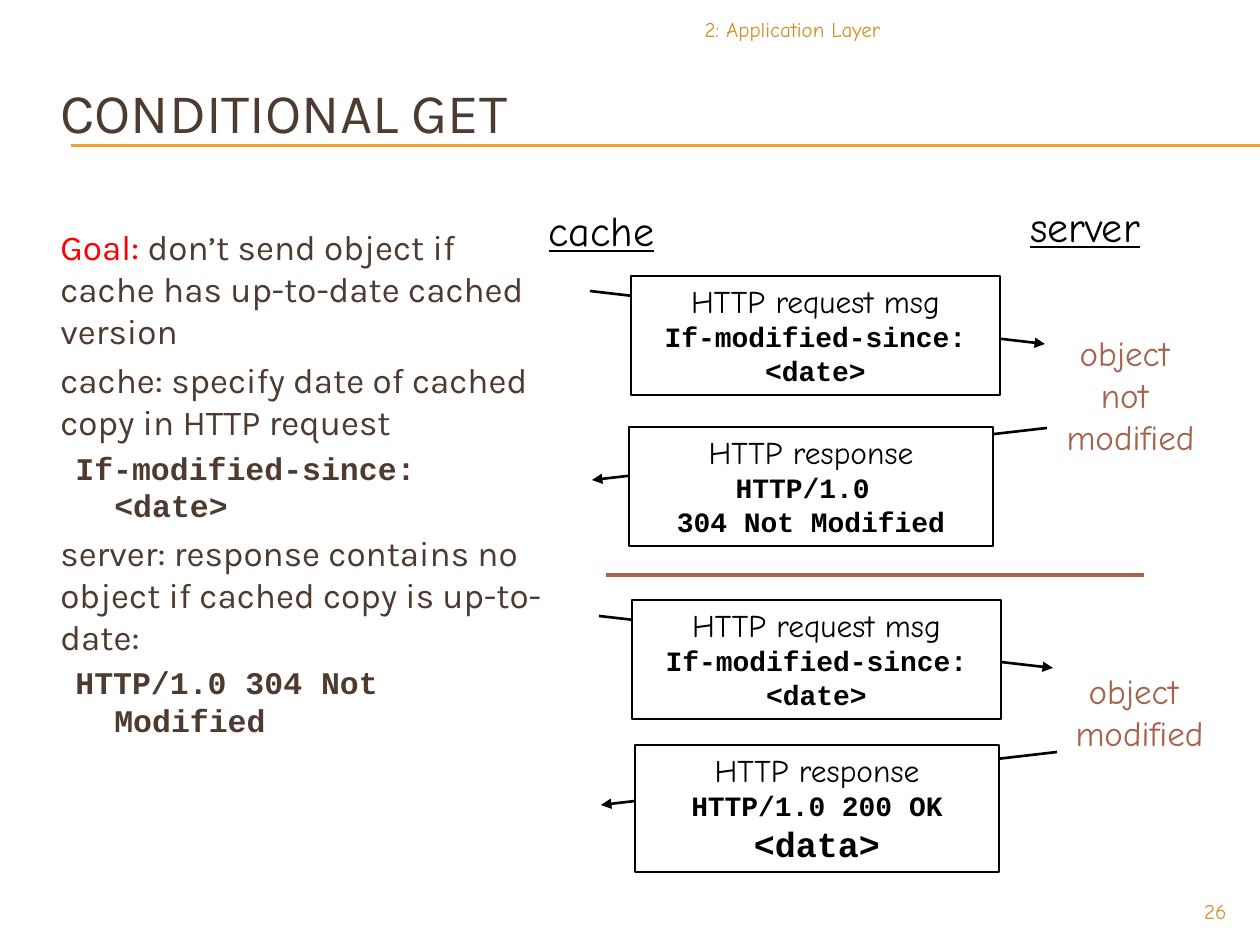
from lxml import etree
from pptx import Presentation
from pptx.dml.color import RGBColor
from pptx.enum.shapes import MSO_CONNECTOR, MSO_SHAPE
from pptx.enum.text import MSO_ANCHOR, MSO_AUTO_SIZE, PP_ALIGN
from pptx.oxml.ns import qn
from pptx.util import Pt

PX = 914400 // 126
STRAIGHT, RECTANGLE = MSO_CONNECTOR.STRAIGHT, MSO_SHAPE.RECTANGLE
TOP, MIDDLE = MSO_ANCHOR.TOP, MSO_ANCHOR.MIDDLE
GROW, FIXED = MSO_AUTO_SIZE.SHAPE_TO_FIT_TEXT, MSO_AUTO_SIZE.NONE
LEFT, CENTER, RIGHT = PP_ALIGN.LEFT, PP_ALIGN.CENTER, PP_ALIGN.RIGHT

BROWN = RGBColor(0x4E, 0x3B, 0x30)
RED = RGBColor(0xFF, 0x00, 0x00)
GOLD = RGBColor(0xF0, 0xA2, 0x2E)
OCHRE = RGBColor(0xD3, 0x8E, 0x27)
RUST = RGBColor(0xA5, 0x64, 0x4E)
BLACK = RGBColor(0x00, 0x00, 0x00)
WHITE = RGBColor(0xFF, 0xFF, 0xFF)


def style(name, size, color, **extra):
    return {"name": name, "size": Pt(size), "color": color, **extra}


TITLE = style("Karla", 32, BROWN)
GOAL = style("Karla", 20, RED)
POINT = style("Karla", 20, BROWN)
HEADER = style("Courier New", 18, BROWN, bold=True)
FOOTER = style("Comic Neue", 12, OCHRE)
HOST = style("Comic Neue", 24, BLACK, underline=True)
OUTCOME = style("Comic Neue", 20, RUST)
MESSAGE = style("Comic Neue", 18, BLACK)
CODE = style("Courier New", 16, BLACK, bold=True)
DATA = style("Courier New", 20, BLACK, bold=True)

POINT_LAYOUT = {"margin": 48, "indent": 0, "before": 4}
HEADER_LAYOUT = {"margin": 102, "indent": -39, "before": 3.6}
BODY = [
    ([("Goal:", GOAL),
      (" don’t send object if cache has up-to-date cached version", POINT)],
     {**POINT_LAYOUT, "before": 0}),
    ([("cache: specify date of cached copy in HTTP request", POINT)], POINT_LAYOUT),
    ([("If-modified-since: <date>", HEADER)], HEADER_LAYOUT),
    ([("server: response contains no object if cached copy is up-to-date:", POINT)],
     POINT_LAYOUT),
    ([("HTTP/1.0 304 Not Modified", HEADER)], HEADER_LAYOUT),
]

LABELS = [
    ("CONDITIONAL GET", TITLE, (48, 32, 1097, 158), LEFT, MIDDLE, FIXED),
    ("2: Application Layer", FOOTER, (431, 10, 462, 40), RIGHT, TOP, FIXED),
    ("26", FOOTER, (1134, 892, 105, 34), RIGHT, TOP, FIXED),
    ("cache", HOST, (533, 198, 137, 63), CENTER, TOP, GROW),
    ("server", HOST, (1009, 194, 152, 63), CENTER, TOP, GROW),
]

REQUEST = [("HTTP request msg", MESSAGE), ("If-modified-since: <date>", CODE)]
NOT_MODIFIED = [("HTTP response", MESSAGE), ("HTTP/1.0 ", CODE),
                ("304 Not Modified", CODE)]
MODIFIED = [("HTTP response", MESSAGE), ("HTTP/1.0 200 OK", CODE), ("<data>", DATA)]
EXCHANGES = [
    {"messages": [((590, 291, 1045, 344), (631, 276, 369, 119), REQUEST),
                  ((1047, 428, 592, 480), (629, 427, 364, 119), NOT_MODIFIED)],
     "outcome": ["object ", "not ", "modified"], "at": (1046, 325, 169, 139)},
    {"messages": [((599, 616, 1053, 668), (632, 600, 369, 119), REQUEST),
                  ((1057, 752, 601, 805), (635, 745, 364, 127), MODIFIED)],
     "outcome": ["object ", "modified"], "at": (1055, 663, 169, 97)},
]

RULES = [((71, y, 1260, y), GOLD, 0.75) for y in (145, 146)]
DIVIDER = ((606, 575, 1144, 575), RUST, 2.25)


def emu(lengths):
    return [length * PX for length in lengths]


def add_line(slide, ends, color, width, arrow=False):
    line = slide.shapes.add_connector(STRAIGHT, *emu(ends))
    line.line.color.rgb = color
    line.line.width = Pt(width)
    if arrow:
        etree.SubElement(line.line._get_or_add_ln(), qn("a:tailEnd"), type="triangle")
    etree.SubElement(line._element.spPr, qn("a:effectLst"))


def write(shape, paragraphs, align=CENTER, anchor=TOP, fit=GROW):
    frame = shape.text_frame
    frame.word_wrap = True
    frame.auto_size = fit
    frame.vertical_anchor = anchor
    for index, (runs, layout) in enumerate(paragraphs):
        paragraph = frame.add_paragraph() if index else frame.paragraphs[0]
        paragraph.alignment = align
        if layout:
            paragraph.space_before = Pt(layout["before"])
            properties = paragraph._p.get_or_add_pPr()
            properties.set("marL", str(layout["margin"] * PX))
            properties.set("indent", str(layout["indent"] * PX))
        for words, look in runs:
            run = paragraph.add_run()
            run.text = words
            for attribute, value in look.items():
                if attribute == "color":
                    run.font.color.rgb = value
                else:
                    setattr(run.font, attribute, value)


def add_text(slide, place, paragraphs, **options):
    write(slide.shapes.add_textbox(*emu(place)), paragraphs, **options)


def add_message(slide, place, lines):
    box = slide.shapes.add_shape(RECTANGLE, *emu(place))
    box.shadow.inherit = False
    box.fill.solid()
    box.fill.fore_color.rgb = WHITE
    box.line.color.rgb = BLACK
    box.line.width = Pt(0.75)
    write(box, [([line], None) for line in lines])


def main():
    deck = Presentation()
    deck.slide_width, deck.slide_height = emu((1260, 945))
    slide = deck.slides.add_slide(deck.slide_layouts[6])

    for rule in RULES:
        add_line(slide, *rule)
    for words, look, place, align, anchor, fit in LABELS:
        add_text(slide, place, [([(words, look)], None)],
                 align=align, anchor=anchor, fit=fit)
    add_text(slide, (0, 219, 557, 593), BODY, align=LEFT, fit=FIXED)

    add_line(slide, *DIVIDER)
    for exchange in EXCHANGES:
        for ends, place, lines in exchange["messages"]:
            add_line(slide, ends, BLACK, 1.5, arrow=True)
            add_message(slide, place, lines)
        add_text(slide, exchange["at"],
                 [([(words, OUTCOME)], None) for words in exchange["outcome"]])

    deck.save("out.pptx")


if __name__ == "__main__":
    main()
